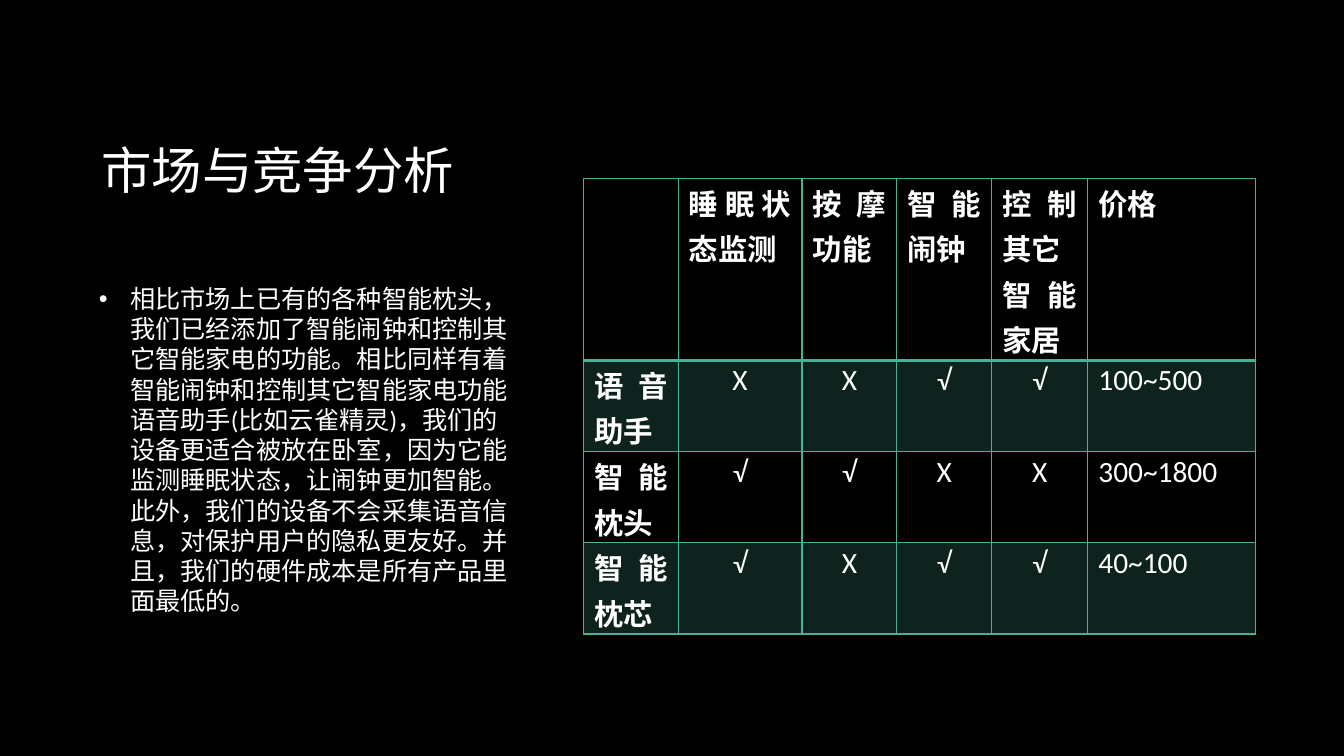
from lxml.etree import SubElement
from pptx import Presentation
from pptx.dml.color import RGBColor
from pptx.enum.text import MSO_ANCHOR, PP_ALIGN
from pptx.oxml import parse_xml
from pptx.oxml.ns import nsdecls, qn
from pptx.util import Cm, Pt

WHITE, BLACK, GREEN = "FFFFFF", "000000", "46B298"


def style(paragraph, size, bold=False):
    paragraph.font.name = "Calibri"
    paragraph.font.size = Pt(size)
    paragraph.font.bold = bold
    paragraph.font.color.rgb = RGBColor.from_string(WHITE)


def add_borders(cell, widths):
    """Draw green cell edges; widths are points for left, right, top, bottom."""
    properties = cell._tc.get_or_add_tcPr()
    for index, (side, width) in enumerate(zip("LRTB", widths)):
        properties.insert(index, parse_xml(
            f'<a:ln{side} {nsdecls("a")} w="{Pt(width)}"><a:solidFill>'
            f'<a:srgbClr val="{GREEN}"/></a:solidFill></a:ln{side}>'))


presentation = Presentation()
presentation.slide_width = Cm(33.87)
presentation.slide_height = Cm(19.05)
slide = presentation.slides.add_slide(presentation.slide_layouts[5])
slide.background.fill.solid()
slide.background.fill.fore_color.rgb = RGBColor.from_string(BLACK)

# Title
title = slide.shapes.title
title.left, title.top, title.width, title.height = Cm(2.3), Cm(2.24), Cm(11.05), Cm(4.04)
title.text_frame.text = "市场与竞争分析"
title.text_frame.vertical_anchor = MSO_ANCHOR.MIDDLE
title.text_frame.paragraphs[0].alignment = PP_ALIGN.LEFT
style(title.text_frame.paragraphs[0], 36)

# Analysis
analysis = slide.shapes.add_textbox(Cm(2.24), Cm(6.28), Cm(11.13), Cm(10.1)).text_frame
analysis.word_wrap = True
analysis.vertical_anchor = MSO_ANCHOR.MIDDLE
analysis.text = (
    "相比市场上已有的各种智能枕头，我们已经添加了智能闹钟和控制其它智能家电的功能。"
    "相比同样有着智能闹钟和控制其它智能家电功能语音助手(比如云雀精灵)，"
    "我们的设备更适合被放在卧室，因为它能监测睡眠状态，让闹钟更加智能。"
    "此外，我们的设备不会采集语音信息，对保护用户的隐私更友好。"
    "并且，我们的硬件成本是所有产品里面最低的。")
point = analysis.paragraphs[0]
point.line_spacing = 1.0
point.space_after = Pt(10)
point_properties = point._p.get_or_add_pPr()
point_properties.set("marL", str(Cm(0.79)))
point_properties.set("indent", str(-Cm(0.79)))
bullet_color = SubElement(point_properties, qn("a:buClr"))
SubElement(bullet_color, qn("a:srgbClr"), val=WHITE)
SubElement(point_properties, qn("a:buFont"), typeface="Arial")
SubElement(point_properties, qn("a:buChar"), char="•")
style(point, 18)

# Comparison of products
comparison = [
    ["", "睡眠状态监测", "按摩功能", "智能闹钟", "控制其它\n智能家居", "价格"],
    ["语音助手", "X", "X", "√", "√", "100~500"],
    ["智能枕头", "√", "√", "X", "X", "300~1800"],
    ["智能枕芯", "√", "X", "√", "√", "40~100"],
]
column_widths = [2.38, 3.12, 2.39, 2.39, 2.42, 4.22]
row_heights = [4.59, 2.3, 2.3, 2.3]
table = slide.shapes.add_table(
    len(row_heights), len(column_widths), Cm(14.71), Cm(4.49),
    Cm(sum(column_widths)), Cm(sum(row_heights))).table
for column, width in zip(table.columns, column_widths):
    column.width = Cm(width)
for row, height in zip(table.rows, row_heights):
    row.height = Cm(height)

for r, entries in enumerate(comparison):
    for c, entry in enumerate(entries):
        cell = table.cell(r, c)
        cell.margin_left = cell.margin_right = Cm(0.27)
        cell.margin_top = cell.margin_bottom = 0
        cell.text = entry
        for paragraph in cell.text_frame.paragraphs:
            paragraph.alignment = PP_ALIGN.CENTER if entry in ("X", "√") else PP_ALIGN.JUSTIFY
            paragraph.line_spacing = 1.07
            style(paragraph, 21, bold=r == 0 or c == 0)
        if r % 2:
            cell.fill.solid()
            cell.fill.fore_color.rgb = RGBColor.from_string(GREEN)
            tint = cell._tc.tcPr.find(qn("a:solidFill")).find(qn("a:srgbClr"))
            SubElement(tint, qn("a:alpha"), val="20000")
        else:
            cell.fill.background()
        add_borders(cell, [1, 1, 2 if r == 1 else 1, 2 if r == 0 else 1])

presentation.save("out.pptx")
